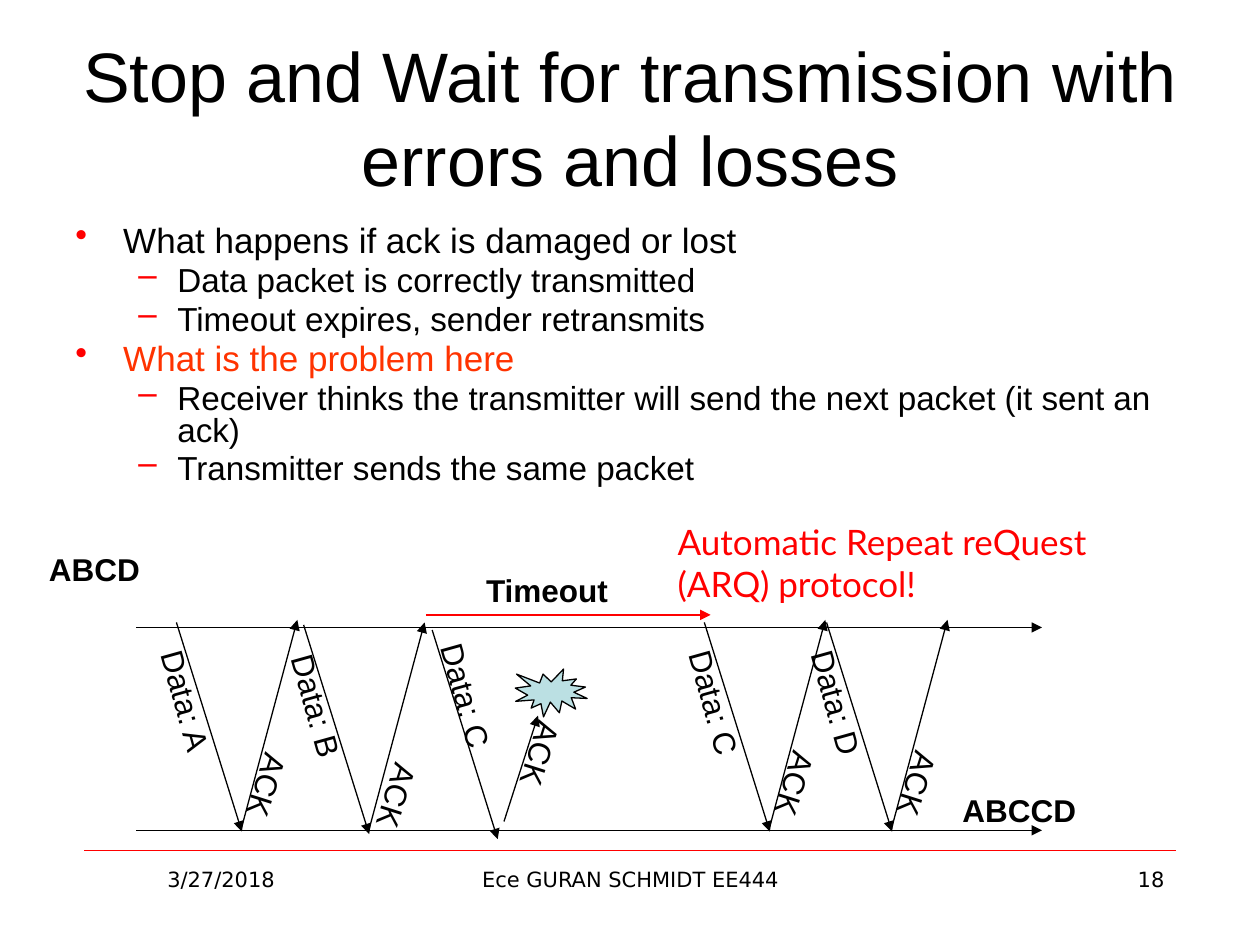
from dataclasses import dataclass

from lxml import etree
from pptx import Presentation
from pptx.dml.color import RGBColor
from pptx.enum.shapes import MSO_CONNECTOR, MSO_SHAPE
from pptx.enum.text import MSO_ANCHOR, PP_ALIGN
from pptx.oxml.ns import qn
from pptx.util import Inches, Pt

BLACK = RGBColor(0x00, 0x00, 0x00)
RED = RGBColor(0xFF, 0x00, 0x00)
ORANGE_RED = RGBColor(0xFF, 0x33, 0x00)
PALE_BLUE = RGBColor(0xBB, 0xE0, 0xE3)

STRAIGHT = MSO_CONNECTOR.STRAIGHT
BURST = MSO_SHAPE.EXPLOSION1
LEFT, CENTER, RIGHT = PP_ALIGN.LEFT, PP_ALIGN.CENTER, PP_ALIGN.RIGHT
TOP, MIDDLE = MSO_ANCHOR.TOP, MSO_ANCHOR.MIDDLE

TITLE = {"name": "Arial", "size": Pt(40)}
LABEL = {"name": "Arial", "size": Pt(18)}
BOLD_LABEL = {**LABEL, "bold": True}
FOOTER = {"name": "DejaVu Sans", "size": Pt(12)}
CALLOUT = {"name": "Lato", "size": Pt(20)}

# Per level: left margin, hanging indent, bullet, text size
LEVELS = [(0.38, -0.38, "•", 20), (0.81, -0.31, "–", 19)]
BULLETS = [
    (0, "What happens if ack is damaged or lost", BLACK),
    (1, "Data packet is correctly transmitted", BLACK),
    (1, "Timeout expires, sender retransmits", BLACK),
    (0, "What is the problem here", ORANGE_RED),
    (1, "Receiver thinks the transmitter will send the next packet (it sent an ack)", BLACK),
    (1, "Transmitter sends the same packet", BLACK),
]
FOOTERS = [
    ("3/27/2018", 0.67, 2.17, CENTER),
    ("Ece GURAN SCHMIDT EE444", 3.42, 3.17, CENTER),
    ("18", 7.17, 2.17, RIGHT),
]

DATA_ANGLE, ACK_ANGLE = 74.4, 107.6
LABEL_HEIGHT = 0.4
DATA_LABEL_TOP = 5.41


@dataclass
class Exchange:
    """One data packet; positions in inches."""
    packet: str
    x: float
    y: float
    label_left: float
    label_width: float
    ack_left: float
    ack_top: float
    lost: bool = False


EXCHANGES = [
    Exchange("A", 1.40, 4.94, 0.93, 1.12, 1.71, 6.08),
    Exchange("B", 2.41, 4.96, 1.99, 1.05, 2.74, 6.16),
    Exchange("C", 3.43, 5.00, 3.11, 1.23, 3.88, 5.83, lost=True),
    Exchange("C", 5.59, 4.94, 5.12, 1.12, 5.90, 6.07),
    Exchange("D", 6.56, 4.94, 6.09, 1.12, 6.87, 6.07),
]


def set_format(font, values, color):
    for name, value in values.items():
        setattr(font, name, value)
    font.color.rgb = color


def add_text(slide, lines, box, values, color=BLACK, align=LEFT, anchor=TOP,
             rotation=0, wrap=True):
    shape = slide.shapes.add_textbox(*map(Inches, box))
    shape.rotation = rotation
    frame = shape.text_frame
    frame.word_wrap = wrap
    frame.vertical_anchor = anchor
    frame.text = "\n".join(lines)
    for paragraph in frame.paragraphs:
        paragraph.alignment = align
        set_format(paragraph.font, values, color)


def add_line(slide, start, end, color=BLACK, width=0.75, arrow=True):
    line = slide.shapes.add_connector(STRAIGHT, *map(Inches, (*start, *end)))
    line.line.color.rgb = color
    line.line.width = Pt(width)
    if arrow:
        etree.SubElement(line.line._get_or_add_ln(), qn("a:tailEnd"), type="triangle")
    etree.SubElement(line._element.spPr, qn("a:effectLst"))


def add_bullet(paragraph, level):
    margin, indent, character, _ = LEVELS[level]
    properties = paragraph._p.get_or_add_pPr()
    properties.set("marL", str(Inches(margin)))
    properties.set("indent", str(Inches(indent)))
    color = etree.SubElement(properties, qn("a:buClr"))
    etree.SubElement(color, qn("a:srgbClr"), val=str(RED))
    etree.SubElement(properties, qn("a:buChar"), char=character)


def add_bullet_list(slide):
    frame = slide.shapes.add_textbox(*map(Inches, (0.5, 1.75, 9, 2.43))).text_frame
    frame.word_wrap = True
    for index, (level, text, color) in enumerate(BULLETS):
        paragraph = frame.add_paragraph() if index else frame.paragraphs[0]
        size = LEVELS[level][3]
        paragraph.text = text
        paragraph.level = level
        paragraph.line_spacing = 0.8
        paragraph.space_before = Pt(0.2 * size if index else 0)
        add_bullet(paragraph, level)
        set_format(paragraph.font, {"name": "Arial", "size": Pt(size)}, color)


def add_exchange(slide, exchange):
    """Draw the data arrow, the returning ACK arrow and their labels."""
    x, y = exchange.x, exchange.y
    add_line(slide, (x, y), (x + 0.52, y + 1.66))
    add_text(slide, [f"Data: {exchange.packet}"],
             (exchange.label_left, DATA_LABEL_TOP, exchange.label_width, LABEL_HEIGHT),
             LABEL, rotation=DATA_ANGLE)
    if exchange.lost:
        add_line(slide, (x + 0.57, y + 1.52), (x + 0.84, y + 0.68))
    else:
        add_line(slide, (x + 0.52, y + 1.62), (x + 0.96, y - 0.02))
    add_text(slide, ["ACK"], (exchange.ack_left, exchange.ack_top, 0.8, LABEL_HEIGHT),
             LABEL, rotation=ACK_ANGLE)


def add_loss_burst(slide):
    burst = slide.shapes.add_shape(BURST, *map(Inches, (4.09, 5.31, 0.57, 0.38)))
    burst.shadow.inherit = False
    burst.fill.solid()
    burst.fill.fore_color.rgb = PALE_BLUE
    burst.line.color.rgb = BLACK
    burst.line.width = Pt(0.75)


def add_footer(slide):
    add_line(slide, (0.67, 6.75), (9.33, 6.75), RED, 0.25, arrow=False)
    for text, left, width, align in FOOTERS:
        add_text(slide, [text], (left, 6.83, width, 0.52), FOOTER, align=align)


def add_timing_diagram(slide):
    for timeline_y in (4.98, 6.59):
        add_line(slide, (1.08, timeline_y), (8.27, timeline_y))
    for exchange in EXCHANGES:
        add_exchange(slide, exchange)
    add_loss_burst(slide)
    add_line(slide, (3.38, 4.88), (5.64, 4.88), RED)
    add_text(slide, ["Timeout"], (3.76, 4.48, 1.17, LABEL_HEIGHT), BOLD_LABEL, wrap=False)
    add_text(slide, ["ABCD"], (0.29, 4.32, 1.81, LABEL_HEIGHT), BOLD_LABEL)
    add_text(slide, ["ABCCD"], (7.54, 6.23, 1.81, LABEL_HEIGHT), BOLD_LABEL)


def main():
    presentation = Presentation()
    presentation.slide_width = Inches(10)
    presentation.slide_height = Inches(7.5)
    slide = presentation.slides.add_slide(presentation.slide_layouts[6])
    add_footer(slide)
    add_text(slide, ["Stop and Wait for transmission with errors and losses"],
             (0.5, 0.3, 9, 1.25), TITLE, align=CENTER, anchor=MIDDLE)
    add_bullet_list(slide)
    add_timing_diagram(slide)
    add_text(slide, ["Automatic Repeat reQuest", "(ARQ) protocol!"],
             (5.28, 4.08, 3.61, 0.77), CALLOUT, RED)
    presentation.save("out.pptx")


if __name__ == "__main__":
    main()
